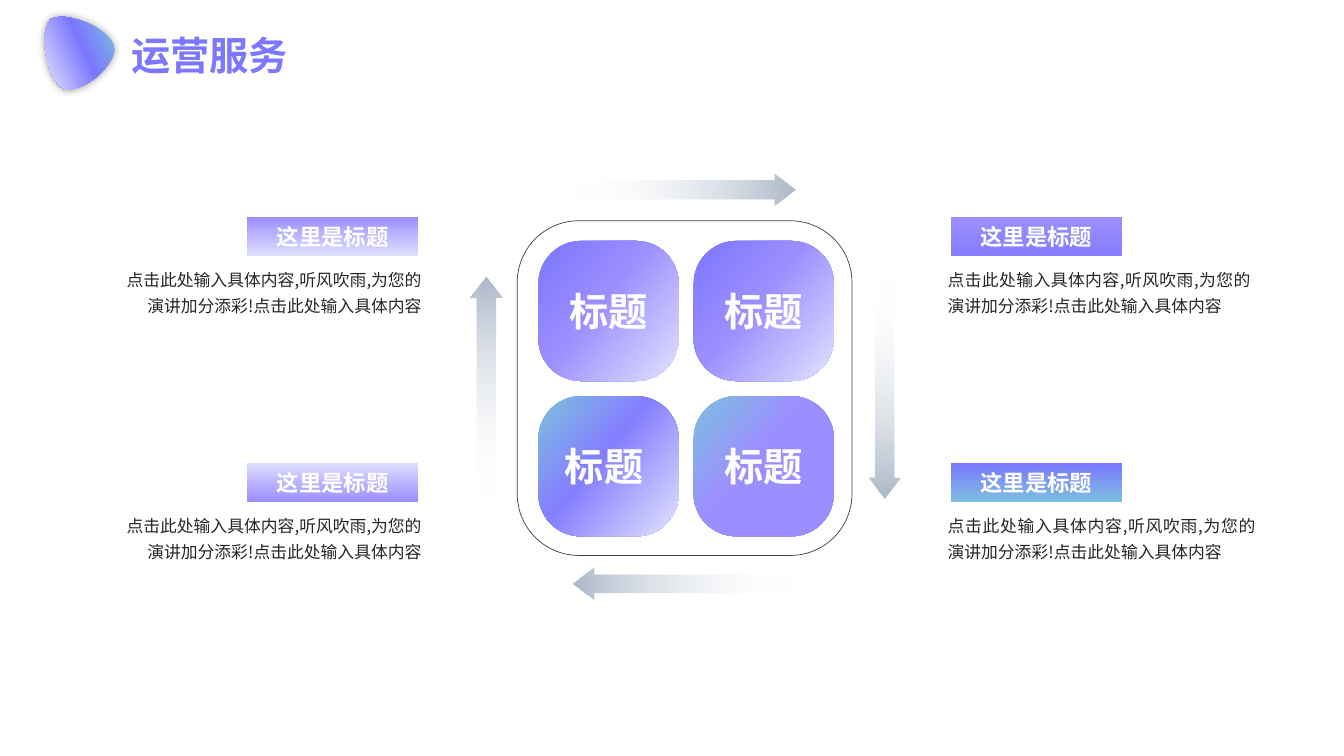
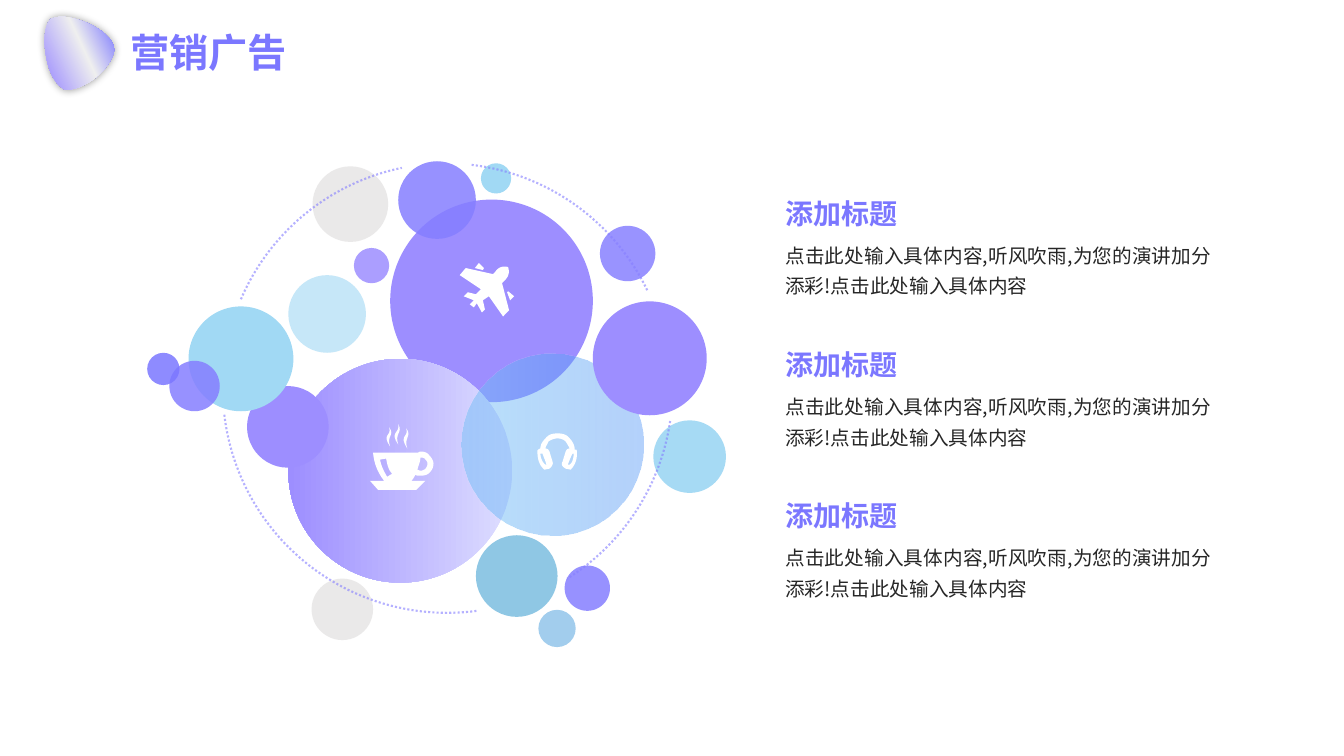
from lxml import etree
from pptx import Presentation
from pptx.dml.color import RGBColor
from pptx.enum.dml import MSO_LINE
from pptx.enum.shapes import MSO_SHAPE as Preset
from pptx.enum.text import MSO_ANCHOR as Anchor, PP_ALIGN as Align
from pptx.oxml.ns import qn
from pptx.util import Inches, Pt

FONT = "Noto Sans CJK SC"
COLORS = {
    "indigo": "7B77FF", "violet": "857EFF", "purple": "9D8EFF",
    "lilac": "DEDEFF", "teal": "7CBEE0", "sky": "A1D9F4",
    "azure": "63BFED", "aqua": "97D4F3", "mist": "92C5EA",
    "blue": "448EF6", "cyan": "75C2F6", "grey": "E7E6E6",
    "pale": "EFEFEF", "steel": "ADB9CA", "ink": "262626",
    "frame": "404040", "white": "FFFFFF", "black": "000000",
}
BODY = "点击此处输入具体内容,听风吹雨,为您的演讲加分添彩!点击此处输入具体内容"

# Outlines in hundredths of an inch, from the top left of their box
BLOB = """M 70 31 C 72 38 64 51 52 61 C 42 69 31 73 24 73 C 21 73 19 72 17 70
C 11 65 5 54 3 41 C 0 26 1 13 5 6 C 6 4 8 2 10 2 C 17 -1 30 1 44 7
C 58 13 69 23 70 31 Z"""
PLANE = """M 48 4 C 50 10 48 14 44 18 L 42 20 L 49 47 L 43 53 L 29 33 L 23 37
L 25 46 L 22 49 L 17 40 L 14 44 L 10 41 L 14 37 L 4 33 L 8 29 L 16 31 L 21 26
L 0 12 L 6 5 L 33 11 L 35 9 C 39 3 44 3 48 4 Z
M 54 33 L 48 28 L 47 29 L 50 37 Z M 19 0 L 15 5 L 23 7 L 24 5 Z"""
HEADPHONES = """M 32 15 C 31 13 30 11 28 8 C 26 6 23 5 20 5 C 17 5 14 6 11 8
C 10 11 8 13 8 15 C 10 15 11 16 12 18 L 15 28 C 16 31 14 33 12 35 L 7 36
C 1 31 0 24 0 17 C 1 16 2 15 3 15 C 3 11 5 8 8 5 C 11 1 15 0 20 0
C 25 0 29 1 32 5 C 35 8 37 12 37 16 C 38 16 39 16 39 17 C 40 24 38 31 33 36
L 28 35 C 25 33 23 31 25 28 L 28 18 C 29 16 30 15 32 15 Z
M 3 20 C 3 24 5 29 8 31 L 9 31 C 8 27 6 23 5 20 Z
M 36 20 L 35 20 C 33 23 32 27 30 31 L 32 31 C 35 29 36 24 36 20 Z"""
CUP = """M 3 28 L 48 28 C 49 27 50 27 50 27 C 54 27 57 28 59 31
C 61 33 63 36 63 39 C 63 43 61 46 59 48 C 57 50 54 51 50 51
C 48 51 46 51 45 50 C 44 52 43 54 41 56 L 55 56 L 46 65 L 8 65 L 0 56 L 14 56
C 7 47 4 38 3 28 Z
M 37 24 C 28 10 39 13 36 4 C 42 12 33 13 37 24 Z
M 28 20 C 24 9 33 8 28 0 C 30 9 19 7 28 20 Z
M 20 22 C 11 9 22 12 19 3 C 25 11 16 11 20 22 Z
M 10 35 C 11 41 14 47 17 52 L 22 49 C 18 45 17 39 16 34 Z
M 50 33 C 50 37 48 41 47 45 C 48 45 49 46 50 46 C 52 46 54 45 55 44
C 56 43 57 41 57 39 C 57 37 56 36 55 35 C 54 33 52 33 50 33 Z"""


def rgb(name):
    return RGBColor.from_string(COLORS[name])


def color_element(parent, name, opacity=100):
    color = etree.SubElement(parent, qn("a:srgbClr"), val=COLORS[name])
    if opacity < 100:
        etree.SubElement(color, qn("a:alpha"), val=str(opacity * 1000))


def fade(fill_parent, opacity):
    """Make the solid colour directly under fill_parent translucent."""
    color = fill_parent.find(qn("a:solidFill")).find(qn("a:srgbClr"))
    etree.SubElement(color, qn("a:alpha"), val=str(opacity * 1000))


def paint(shape, color, opacity=100):
    shape.shadow.inherit = False
    shape.line.fill.background()
    shape.fill.solid()
    shape.fill.fore_color.rgb = rgb(color)
    if opacity < 100:
        fade(shape._element.spPr, opacity)


def paint_gradient(shape, stops, angle):
    """Stops are (position, colour[, opacity]); the angle runs clockwise."""
    shape.shadow.inherit = False
    shape.line.fill.background()
    shape.fill.gradient()
    gradient = shape._element.spPr.find(qn("a:gradFill"))
    stop_list = gradient.find(qn("a:gsLst"))
    stop_list.clear()
    for position, *color in stops:
        stop = etree.SubElement(stop_list, qn("a:gs"), pos=str(position * 1000))
        color_element(stop, *color)
    gradient.find(qn("a:lin")).set("ang", str(angle * 60000))


def add_preset(page, preset, left, top, width, height, adjustments=()):
    shape = page.shapes.add_shape(
        preset, Inches(left), Inches(top), Inches(width), Inches(height))
    for index, value in enumerate(adjustments):
        shape.adjustments[index] = value
    return shape


def write(shape, text, size, color, bold=False, align=Align.LEFT,
          anchor=Anchor.TOP, wrap=True, spacing=None):
    frame = shape.text_frame
    frame.word_wrap = wrap
    frame.vertical_anchor = anchor
    para = frame.paragraphs[0]
    para.text = text
    para.alignment = align
    if spacing:
        para.line_spacing = spacing
    font = para.font
    font.size, font.bold, font.name = Pt(size), bold, FONT
    font.color.rgb = rgb(color)
    etree.SubElement(font._element, qn("a:ea"), typeface=FONT)


def add_text(page, left, top, width, height, text, size, color, **style):
    box = page.shapes.add_textbox(
        Inches(left), Inches(top), Inches(width), Inches(height))
    write(box, text, size, color, **style)


def contours(outline, steps=8):
    """Split an outline into lists of points, with curves as short lines."""
    tokens = iter(outline.split())
    result = []
    for command in tokens:
        if command == "Z":
            continue
        count = 6 if command == "C" else 2
        numbers = [float(next(tokens)) for _ in range(count)]
        points = list(zip(numbers[::2], numbers[1::2]))
        if command == "M":
            result.append(points)
        elif command == "L":
            result[-1] += points
        else:
            curve = [result[-1][-1]] + points
            for step in range(1, steps + 1):
                t = step / steps
                weights = ((1 - t) ** 3, 3 * t * (1 - t) ** 2,
                           3 * t ** 2 * (1 - t), t ** 3)
                result[-1].append(tuple(
                    sum(w * point[axis] for w, point in zip(weights, curve))
                    for axis in (0, 1)))
    return result


def add_outline(page, left, top, outline):
    builder = None
    for contour in contours(outline):
        points = [(Inches(left + x / 100), Inches(top + y / 100))
                  for x, y in contour]
        if builder is None:
            builder = page.shapes.build_freeform(*points[0], scale=1.0)
        else:
            builder.move_to(*points[0])
        builder.add_line_segments(points[1:], close=True)
    return builder.convert_to_shape()


def add_page(deck, title, left, top, blob_colors):
    """Start a slide with its title and the soft-shadowed blob beside it."""
    page = deck.slides.add_slide(deck.slide_layouts[5])
    heading = page.shapes.title
    heading.left, heading.top = Inches(left), Inches(top)
    heading.width, heading.height = Inches(1.77), Inches(0.57)
    write(heading, title, 28, "indigo", bold=True, wrap=False)
    blob = add_outline(page, 0.43, 0.16, BLOB)
    paint_gradient(blob, list(zip((2, 44, 97), blob_colors)), 155)
    effects = blob._element.spPr.find(qn("a:effectLst"))
    shadow = etree.SubElement(effects, qn("a:outerShdw"),
                              blurRad=str(Pt(6)), dist="0", rotWithShape="0")
    color_element(shadow, "black", 40)
    return page


def add_tiles(page, left, top):
    """Framed two by two grid of rounded tiles."""
    frame = add_preset(page, Preset.ROUNDED_RECTANGLE, left, top, 3.32, 3.32,
                       [0.184])
    frame.shadow.inherit = False
    frame.fill.background()
    frame.line.color.rgb = rgb("frame")
    frame.line.width = Pt(0.5)
    tiles = [("标题", ("indigo", "purple", "lilac")),
             ("标题", ("indigo", "purple", "lilac")),
             ("标题 ", ("teal", "violet", "lilac")),
             ("标题", ("teal", "purple", "purple"))]
    for index, (label, colors) in enumerate(tiles):
        row, column = divmod(index, 2)
        tile = add_preset(page, Preset.ROUNDED_RECTANGLE,
                          left + 0.21 + 1.54 * column, top + 0.2 + 1.54 * row,
                          1.39, 1.39, [0.303])
        paint_gradient(tile, list(zip((2, 44, 97), colors)), 40)
        write(tile, label, 28, "white", bold=True, align=Align.CENTER,
              anchor=Anchor.MIDDLE)


def add_cycle_arrows(page, left, top):
    """Four fading arrows that run clockwise around the tiles."""
    long, thick = 2.21, 0.32
    arrows = [(Preset.RIGHT_ARROW, 1.02, 0, long, thick, 0),
              (Preset.DOWN_ARROW, 3.95, 1.02, thick, long, 90),
              (Preset.LEFT_ARROW, 1.02, 3.91, long, thick, 180),
              (Preset.UP_ARROW, 0, 1.02, thick, long, 270)]
    for preset, x, y, width, height, angle in arrows:
        arrow = add_preset(page, preset, left + x, top + y, width, height,
                           [0.579, 0.678])
        paint_gradient(arrow, [(0, "white", 0), (100, "steel")], angle)


def add_card(page, left, top, text_left, text_width, align, colors):
    """Gradient tag with a paragraph below it."""
    tag = add_preset(page, Preset.RECTANGLE, left, top, 1.7, 0.39)
    paint_gradient(tag, list(zip((0, 100), colors)), 90)
    write(tag, "这里是标题", 16, "white", bold=True, align=Align.CENTER,
          anchor=Anchor.MIDDLE)
    add_text(page, text_left, top + 0.42, text_width, 0.63, BODY, 12, "ink",
             align=align, spacing=1.3)


def add_bubbles(page, left, top):
    """Cluster of circles with dotted arcs and three icons."""
    circles = [
        (2.41, 0.38, 2.01, "purple", 100), (1.4, 1.96, 2.22, "lilac", 100),
        (3.12, 1.91, 1.8, "blue", 40), (4.42, 1.39, 1.13, "purple", 100),
        (3.26, 3.71, 0.81, "teal", 85), (0.99, 2.23, 0.81, "purple", 100),
        (0.41, 1.44, 1.04, "sky", 100), (1.4, 1.13, 0.77, "azure", 36),
        (2.49, 0, 0.77, "violet", 85), (1.64, 0.05, 0.75, "grey", 85),
        (1.63, 4.14, 0.61, "grey", 85), (5.02, 2.57, 0.72, "aqua", 85),
        (0.22, 1.98, 0.5, "violet", 85), (0, 1.9, 0.32, "indigo", 85),
        (4.14, 4.01, 0.45, "violet", 85), (3.88, 4.45, 0.37, "mist", 85),
        (4.49, 0.64, 0.55, "violet", 83), (3.31, 0.02, 0.3, "sky", 100),
        (2.05, 0.86, 0.35, "purple", 85)]
    gradient_ends = {"lilac": ("purple", 100), "blue": ("cyan", 50)}
    for x, y, size, color, opacity in circles:
        circle = add_preset(page, Preset.OVAL, left + x, top + y, size, size)
        if color in gradient_ends:
            stops = [(0, color, opacity), (100, *gradient_ends[color])]
            paint_gradient(circle, stops, 180)
        else:
            paint(circle, color, opacity)

    # Dotted ring, with start and end in degrees
    arcs = [(0.73, 0.02, 276.78, 334.8), (0.75, 0.02, 203.18, 258.36),
            (0.75, 0.03, 82.5, 173.5), (0.76, 0.03, 8.32, 57.95)]
    for x, y, start, end in arcs:
        arc = add_preset(page, Preset.ARC, left + x, top + y, 4.45, 4.45,
                         [start * 0.6, end * 0.6])
        arc.shadow.inherit = False
        arc.fill.background()
        arc.line.color.rgb = rgb("violet")
        arc.line.width = Pt(1.5)
        arc.line.dash_style = MSO_LINE.ROUND_DOT
        fade(arc._element.spPr.find(qn("a:ln")), 60)

    icons = [(3.87, 2.7, HEADPHONES), (2.21, 2.61, CUP), (3.1, 1.01, PLANE)]
    for x, y, outline in icons:
        paint(add_outline(page, left + x, top + y, outline), "white")


def add_note(page, left, top):
    add_text(page, left, top, 1.5, 0.44, "添加标题", 20, "indigo", bold=True)
    add_text(page, left, top + 0.4, 4.42, 0.71, BODY, 14, "ink",
             align=Align.JUSTIFY, spacing=1.3)


def build_services(deck):
    page = add_page(deck, "运营服务", 1.2, 0.26, ("teal", "indigo", "lilac"))
    add_tiles(page, 5.13, 2.19)
    add_cycle_arrows(page, 4.66, 1.72)
    add_card(page, 2.45, 2.15, 1.15, 3.13, Align.RIGHT, ("purple", "lilac"))
    add_card(page, 2.45, 4.59, 1.12, 3.16, Align.RIGHT, ("lilac", "purple"))
    add_card(page, 9.43, 2.15, 9.3, 3.2, Align.JUSTIFY, ("purple", "violet"))
    add_card(page, 9.43, 4.59, 9.3, 3.25, Align.JUSTIFY, ("indigo", "teal"))


def build_marketing(deck):
    page = add_page(deck, "营销广告", 1.19, 0.23, ("indigo", "pale", "purple"))
    add_bubbles(page, 1.46, 1.6)
    for row in range(3):
        add_note(page, 7.69, 1.9 + 1.5 * row)


def main():
    deck = Presentation()
    deck.slide_width, deck.slide_height = Inches(13.33), Inches(7.5)
    build_services(deck)
    build_marketing(deck)
    deck.save("out.pptx")


if __name__ == "__main__":
    main()
